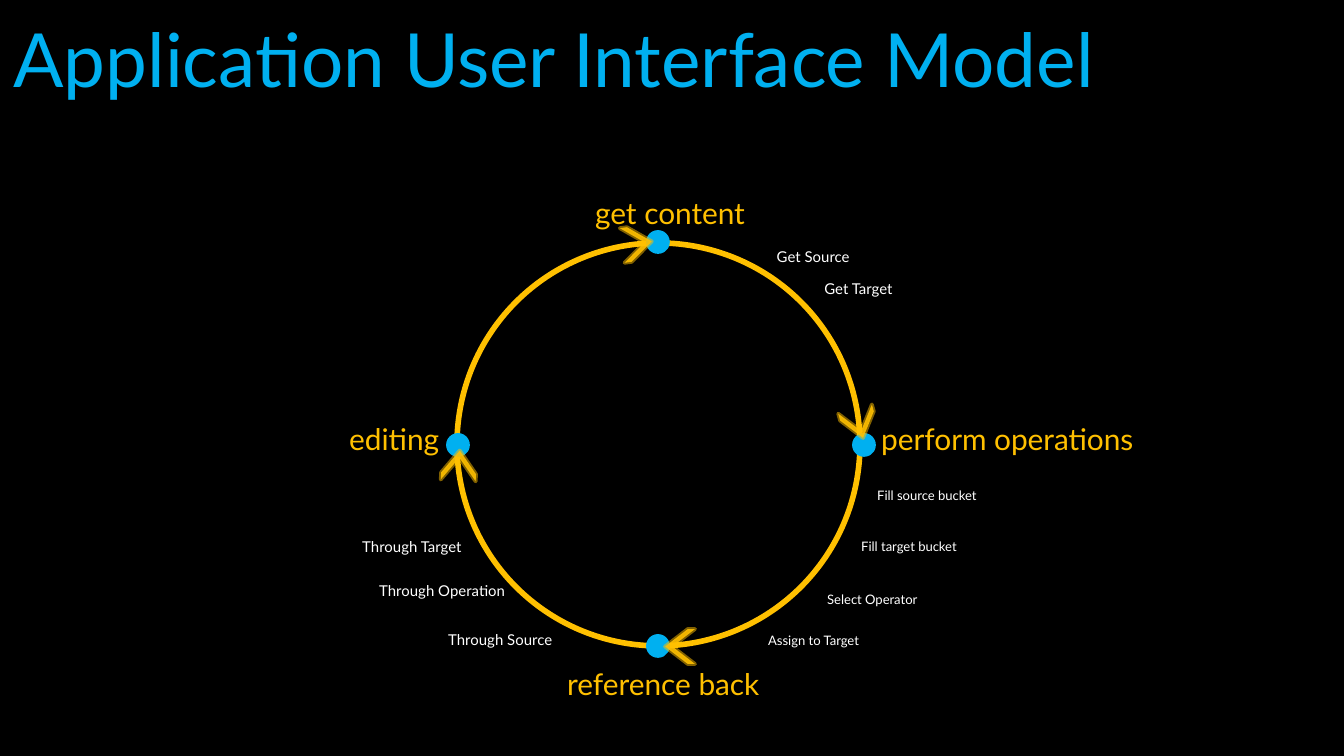
from lxml.etree import SubElement
from pptx import Presentation
from pptx.dml.color import RGBColor
from pptx.enum.shapes import MSO_SHAPE
from pptx.enum.text import MSO_ANCHOR, MSO_AUTO_SIZE, PP_ALIGN
from pptx.oxml.ns import qn
from pptx.util import Pt

PX = 914400 / 134.4
FONT = "Lato"
BLACK = RGBColor(0x00, 0x00, 0x00)
WHITE = RGBColor(0xFF, 0xFF, 0xFF)
BLUE = RGBColor(0x00, 0xB0, 0xF0)
AMBER = RGBColor(0xFF, 0xC0, 0x00)

# Content: lengths in px
TITLE = "Application User Interface Model"
RING = (457, 243, 403, 403)
DOT = 20
DOT_CENTRES = [(658, 242), (658, 646), (864, 445), (458, 445)]

# text, left, top, width
STAGES = [
    ("get content", 582, 188, 183),
    ("perform operations", 868, 414, 297),
    ("reference back", 554, 659, 297),
    ("editing", 336, 414, 130),
]
OPERATION_STEPS = [
    ("Fill source bucket", 864, 481, 183),
    ("Fill target bucket", 848, 532, 177),
    ("Select Operator", 814, 585, 168),
    ("Assign to Target", 755, 626, 171),
]
EDITING_STEPS = [
    ("Through Source", 435, 624, 133),
    ("Through Operation", 366, 575, 156),
    ("Through Target", 349, 531, 130),
]
CONTENT_STEPS = [
    ("Get Target", 808, 273, 98),
    ("Get Source", 762, 241, 101),
]
# left, top, rotation
ARROWS = [(844, 406, 74.6), (444, 448, 273.1), (622, 226, 352.2), (665, 629, 180)]


def px(*lengths):
    return [round(length * PX) for length in lengths]


def style_text(frame, size, color, align=PP_ALIGN.LEFT):
    para = frame.paragraphs[0]
    para.alignment = align
    font = para.runs[0].font
    font.name, font.size, font.color.rgb = FONT, Pt(size), color


def add_labels(page, labels, height, size, color, wrap=True, grow=True,
               align=PP_ALIGN.LEFT):
    for text, left, top, width in labels:
        frame = page.shapes.add_textbox(*px(left, top, width, height)).text_frame
        frame.text = text
        frame.word_wrap = wrap
        frame.auto_size = MSO_AUTO_SIZE.SHAPE_TO_FIT_TEXT if grow else MSO_AUTO_SIZE.NONE
        style_text(frame, size, color, align)


def add_figure(page, kind, place, color, line_width, filled=True):
    shape = page.shapes.add_shape(kind, *px(*place))
    shape.shadow.inherit = False
    if filled:
        shape.fill.solid()
        shape.fill.fore_color.rgb = color
    else:
        shape.fill.background()
    shape.line.color.rgb = color
    shape.line.width = Pt(line_width)
    return shape


def set_opacity(fill_parent, percent):
    color = fill_parent.find(qn("a:solidFill"))[0]
    SubElement(color, qn("a:alpha"), val=str(percent * 1000))


deck = Presentation()
deck.slide_width, deck.slide_height = px(1344, 756)
page = deck.slides.add_slide(deck.slide_layouts[5])
page.background.fill.solid()
page.background.fill.fore_color.rgb = BLACK

# Title
title = page.shapes.title
title.left, title.top, title.width, title.height = px(0, -5, 1289, 126)
title.text_frame.text = TITLE
title.text_frame.vertical_anchor = MSO_ANCHOR.MIDDLE
title.text_frame.auto_size = MSO_AUTO_SIZE.NONE
style_text(title.text_frame, 40, BLUE)

# Cycle with its four stage dots
add_figure(page, MSO_SHAPE.OVAL, RING, AMBER, 3, filled=False)
for x, y in DOT_CENTRES:
    add_figure(page, MSO_SHAPE.OVAL, (x - DOT / 2, y - DOT / 2, DOT, DOT), BLUE, 2)
add_labels(page, STAGES, 67, 16, AMBER, grow=False)

# Direction arrows
for left, top, rotation in ARROWS:
    arrow = add_figure(page, MSO_SHAPE.CHEVRON, (left, top, 30, 35), AMBER, 2)
    arrow.adjustments[0] = 0.76
    arrow.rotation = rotation
    properties = arrow._element.spPr
    set_opacity(properties, 90)
    set_opacity(properties.find(qn("a:ln")), 50)

# Steps between the stages
add_labels(page, OPERATION_STEPS, 30, 7, WHITE)
add_labels(page, EDITING_STEPS, 32, 8, WHITE, wrap=False)
add_labels(page, CONTENT_STEPS, 32, 8, WHITE, wrap=False, align=PP_ALIGN.RIGHT)

deck.save("out.pptx")
